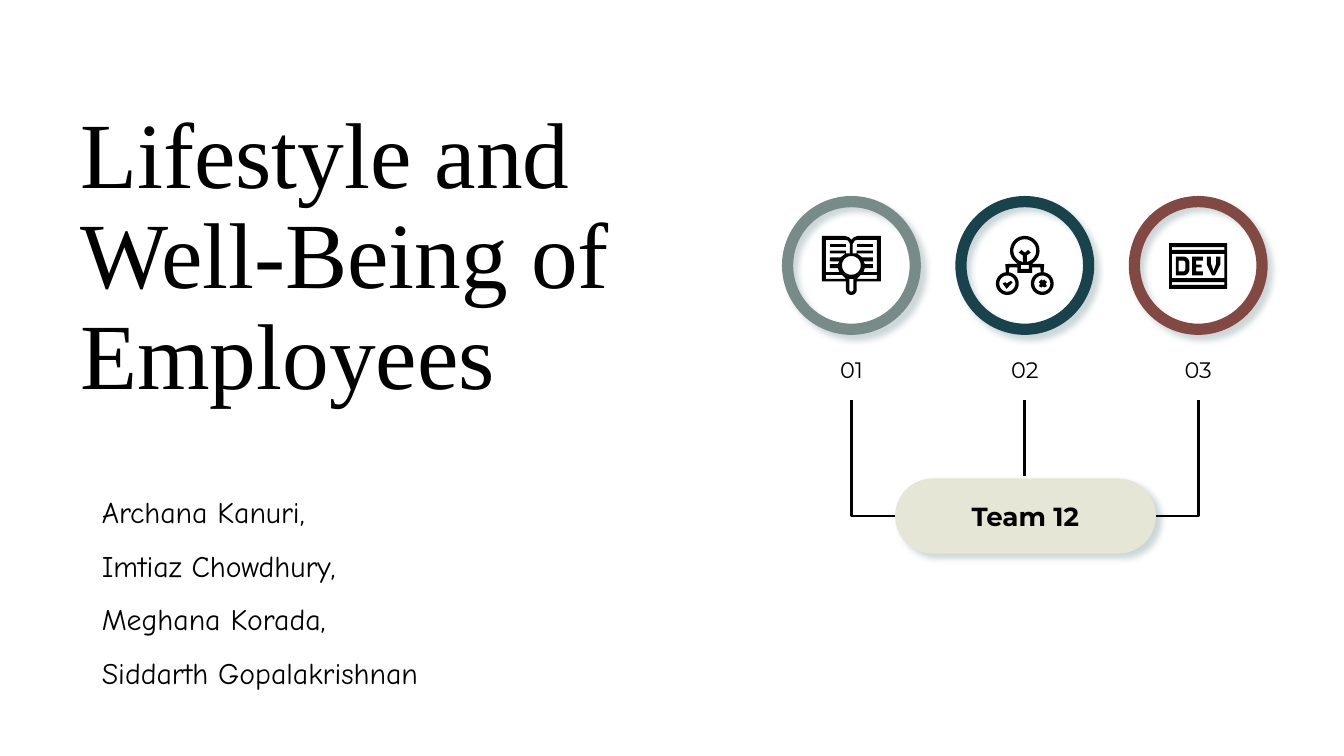
import math
from dataclasses import dataclass

from lxml import etree
from pptx import Presentation
from pptx import util as u
from pptx.dml import color as c
from pptx.enum import shapes, text
from pptx.oxml import ns

Point = tuple[float, float]
Contour = list[Point]


@dataclass(frozen=True)
class Theme:
    ink: str = "000000"
    sage: str = "778B88"
    teal: str = "18434C"
    brick: str = "814941"
    cream: str = "E6E6D6"
    title_font: str = "Times New Roman"
    names_font: str = "Comic Neue"
    label_font: str = "Montserrat"
    title_size: int = 50
    names_size: int = 16
    team_size: int = 14
    number_size: int = 12


@dataclass(frozen=True)
class Box:
    left: float
    top: float
    width: float
    height: float

    def lengths(self) -> list[u.Length]:
        return [u.Inches(v) for v in (self.left, self.top, self.width, self.height)]


@dataclass(frozen=True)
class Step:
    number: str
    color: str
    icon: list[list[Contour]]  # each part is an outline followed by its holes


THEME = Theme()
RING_LEFT, RING_TOP, RING_SIZE, RING_PITCH = 5.86, 1.5, 0.95, 1.29
LINE_TOP = 2.98
TEAM = Box(6.66, 3.56, 1.94, 0.56)


# Icon geometry, in hundredths of an inch from the ring's centre
def rectangle(left: float, top: float, right: float, bottom: float) -> Contour:
    return [(left, top), (right, top), (right, bottom), (left, bottom)]


def arc(x: float, y: float, radius: float, start: float, end: float) -> Contour:
    steps = max(8, round(abs(end - start) / 10))
    angles = [math.radians(start + (end - start) * i / steps) for i in range(steps + 1)]
    return [(x + radius * math.cos(a), y + radius * math.sin(a)) for a in angles]


def circle(x: float, y: float, radius: float) -> Contour:
    return arc(x, y, radius, 0, 350)


def mirror(contour: Contour) -> Contour:
    return [(-x, y) for x, y in contour]


def book_icon() -> list[list[Contour]]:
    half = [(0, -19), (2, -21), (5, -22), (22, -22), (22, 12), (4, 12)]
    cover = half + arc(0, 18, 4, 0, 180) + mirror(half)[::-1]
    page = [(5, -19), (19, -19), (19, 5), (9, 5), (10, 2), (16, 2), (16, -1),
            (10, -1), (9, -3), (16, -3), (16, -6), (8, -6), (4, -9), (16, -9),
            (16, -11), (4, -11), (4, -9), (1, -9), (1, -16), (2.5, -18.5)]
    edge = [(19, 10), (19, 7), (7, 7), (4, 10)]
    handle = [(-1.5, 10), (1.5, 10)] + arc(0, 18, 1.5, 0, 180)
    text_line = rectangle(4, -16, 16, -14)
    book = [cover, page, mirror(page), edge, mirror(edge), circle(0, 0, 7), handle]
    return [[text_line], book, [mirror(text_line)]]


def decision_icon() -> list[list[Contour]]:
    branch = [(-14.5, -1), *arc(-13, 13.5, 8.5, -97, -443), (-11.5, 1.5),
              (-5.5, 1.5), (-5.5, 5.5)]
    tree = arc(0, -11, 11, 62, -242) + branch + mirror(branch)[::-1]
    filament = [(-1.5, -2.5), (-1.5, -7.5), (-4.5, -9.5), (-2.5, -11.5), (0, -9.5)]
    bulb = arc(0, -11, 8.5, 62, -242) + filament + mirror(filament)[::-1]
    check = [(-14.5, 12.5), (-16.5, 13.5), (-13.5, 17.5), (-9, 12.5),
             (-10.5, 11.5), (-13.5, 13.5)]
    cross = [(14.5, 10.5), (13.5, 11.5), (12.5, 10.5), (10.5, 12.5), (11.5, 13.5),
             (10.5, 15.5), (12.5, 16.5), (13.5, 15.5), (14.5, 16.5), (16.5, 15.5),
             (15.5, 13.5), (16.5, 12.5)]
    holes = [bulb, rectangle(-3, -0.5, 3, 2.5), circle(-13, 13.5, 6), circle(13, 13.5, 6)]
    return [[check], [tree, *holes], [cross]]


def dev_icon() -> list[list[Contour]]:
    bands = ((-13.5, -11.5), (-8.5, 9.5), (12.5, 14.5))
    frame = [rectangle(-21.5, -16.5, 21.5, 17.5)]
    frame += [rectangle(-19.5, top, 19.5, bottom) for top, bottom in bands]
    letter_d = [[(-16.5, -6.5), *arc(-11, -2, 4.5, -90, 0), *arc(-11, 3, 4.5, 0, 90),
                 (-16.5, 7.5)],
                [(-14.5, -3.5), *arc(-11, -2, 1.5, -90, 0), *arc(-11, 3, 1.5, 0, 90),
                 (-14.5, 4.5)]]
    letter_e = [(3.5, 4.5), (-1.5, 4.5), (-1.5, 1.5), (2.5, 1.5), (2.5, -0.5),
                (-1.5, -0.5), (-1.5, -3.5), (3.5, -3.5), (3.5, -6.5), (-4.5, -6.5),
                (-4.5, 7.5), (3.5, 7.5)]
    letter_v = [(12.5, 7.5), (16.5, -0.5), (16.5, -6.5), (13.5, -6.5), (13.5, -1.5),
                (11.5, 4.5), (9.5, -1.5), (9.5, -6.5), (6.5, -6.5), (6.5, -0.5),
                (10.5, 7.5)]
    return [frame, [letter_e], letter_d, [letter_v]]


# Drawing functions
def rgb(value: str) -> c.RGBColor:
    return c.RGBColor.from_string(value)


def write(shape, lines: list[str], font: str, size: int, bold: bool = False,
          align=text.PP_ALIGN.LEFT, anchor=text.MSO_ANCHOR.TOP, spacing: float = 1.0) -> None:
    frame = shape.text_frame
    frame.text = "\n".join(lines)
    frame.word_wrap = True
    frame.vertical_anchor = anchor
    frame.margin_left = frame.margin_right = u.Inches(0.1)
    frame.margin_top = frame.margin_bottom = u.Inches(0.1)
    for paragraph in frame.paragraphs:
        paragraph.alignment = align
        paragraph.line_spacing = spacing
        for run in paragraph.runs:
            run.font.name, run.font.size, run.font.bold = font, u.Pt(size), bold
            run.font.color.rgb = rgb(THEME.ink)


def add_soft_shadow(shape) -> None:
    shape.shadow.inherit = False
    effects = shape._element.spPr.find(ns.qn("a:effectLst"))
    shadow = etree.SubElement(effects, ns.qn("a:outerShdw"), blurRad=str(u.Pt(3.4)),
                              dist=str(u.Pt(3.8)), dir="2700000", algn="bl", rotWithShape="0")
    color = etree.SubElement(shadow, ns.qn("a:srgbClr"), val=THEME.teal)
    etree.SubElement(color, ns.qn("a:alpha"), val="22000")


def draw_icon(slide, parts: list[list[Contour]], center_x: float, center_y: float) -> None:
    group = slide.shapes.add_group_shape()
    for part in parts:
        builder = None
        for contour in part:
            points = [(u.Inches(center_x + x / 100), u.Inches(center_y + y / 100))
                      for x, y in contour]
            if builder is None:
                builder = group.shapes.build_freeform(*points[0])
            else:
                builder.move_to(*points[0])
            builder.add_line_segments(points[1:], close=True)
        shape = builder.convert_to_shape()
        shape.shadow.inherit = False
        shape.fill.solid()
        shape.fill.fore_color.rgb = rgb(THEME.ink)
        shape.line.fill.background()


def draw_step(slide, step: Step, left: float) -> None:
    ring = slide.shapes.add_shape(shapes.MSO_SHAPE.OVAL,
                                  *Box(left, RING_TOP, RING_SIZE, RING_SIZE).lengths())
    ring.fill.background()
    ring.line.color.rgb = rgb(step.color)
    ring.line.width = u.Pt(6)
    add_soft_shadow(ring)
    draw_icon(slide, step.icon, left + RING_SIZE / 2, RING_TOP + RING_SIZE / 2)
    label = slide.shapes.add_textbox(*Box(left - 0.12, 2.55, 1.19, 0.43).lengths())
    write(label, [step.number], THEME.label_font, THEME.number_size,
          align=text.PP_ALIGN.CENTER)


def draw_connector(slide, kind, start: Point, end: Point):
    connector = slide.shapes.add_connector(kind, *[u.Inches(v) for v in (*start, *end)])
    connector.line.color.rgb = rgb(THEME.ink)
    connector.line.width = u.Pt(1.5)
    etree.SubElement(connector._element.spPr, ns.qn("a:effectLst"))
    return connector


def draw_elbow(slide, ring_x: float, team_x: float) -> None:
    """Runs down from a ring, then turns into the side of the team pill."""
    drop, run = TEAM.top + TEAM.height / 2 - LINE_TOP, abs(team_x - ring_x)
    middle_x, middle_y = (ring_x + team_x) / 2, LINE_TOP + drop / 2
    connector = draw_connector(slide, shapes.MSO_CONNECTOR.ELBOW,
                               (middle_x - drop / 2, middle_y - run / 2),
                               (middle_x + drop / 2, middle_y + run / 2))
    properties = connector._element.spPr
    properties.find(ns.qn("a:prstGeom")).set("prst", "bentConnector2")
    turn = properties.find(ns.qn("a:xfrm"))
    turn.set("rot", str((270 if ring_x < team_x else 90) * 60000))
    if ring_x < team_x:
        turn.set("flipH", "1")


def main() -> None:
    presentation = Presentation()
    presentation.slide_width = u.Inches(10)
    presentation.slide_height = u.Inches(10 * 9 / 16)
    slide = presentation.slides.add_slide(presentation.slide_layouts[6])

    # Title and authors
    title = slide.shapes.add_textbox(*Box(0.5, 1.45, 5.47, 1.7).lengths())
    write(title, ["Lifestyle and Well-Being of Employees"], THEME.title_font,
          THEME.title_size, anchor=text.MSO_ANCHOR.BOTTOM, spacing=0.9)
    authors = slide.shapes.add_textbox(*Box(0.66, 3.44, 5.24, 1.64).lengths())
    write(authors, ["Archana Kanuri,", "Imtiaz Chowdhury,", "Meghana Korada,",
                    "Siddarth Gopalakrishnan"], THEME.names_font, THEME.names_size, spacing=1.5)

    # Numbered rings
    steps = [Step("01", THEME.sage, book_icon()), Step("02", THEME.teal, decision_icon()),
             Step("03", THEME.brick, dev_icon())]
    lefts = [RING_LEFT + i * RING_PITCH for i in range(len(steps))]
    for step, left in zip(steps, lefts):
        draw_step(slide, step, left)

    # Lines to the team pill
    first, second, third = [left + RING_SIZE / 2 for left in lefts]
    draw_connector(slide, shapes.MSO_CONNECTOR.STRAIGHT, (second, LINE_TOP), (second, 3.54))
    draw_elbow(slide, first, TEAM.left)
    draw_elbow(slide, third, TEAM.left + TEAM.width)

    # Team pill
    team = slide.shapes.add_shape(shapes.MSO_SHAPE.ROUNDED_RECTANGLE, *TEAM.lengths())
    team.adjustments[0] = 0.5
    team.fill.solid()
    team.fill.fore_color.rgb = rgb(THEME.cream)
    team.line.fill.background()
    add_soft_shadow(team)
    write(team, ["Team 12"], THEME.label_font, THEME.team_size, bold=True,
          align=text.PP_ALIGN.CENTER, anchor=text.MSO_ANCHOR.MIDDLE)

    presentation.save("out.pptx")


if __name__ == "__main__":
    main()
